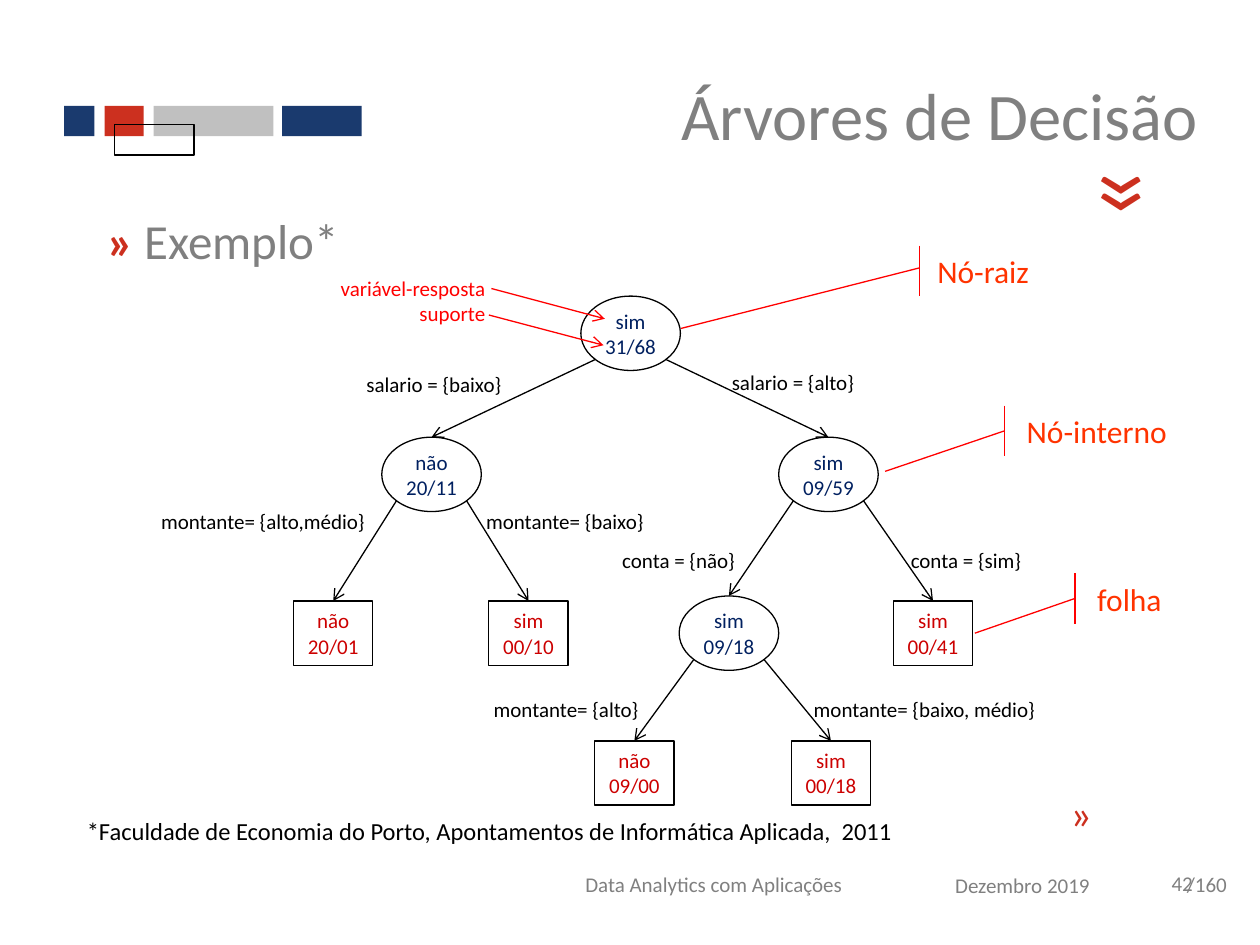
from pptx import Presentation
from pptx.dml.color import RGBColor
from pptx.enum.shapes import MSO_CONNECTOR, MSO_SHAPE
from pptx.enum.text import MSO_ANCHOR as Anchor, PP_ALIGN as Align
from pptx.oxml.ns import qn
from pptx.util import Inches, Pt
from lxml import etree

THEME = {
    "font": "Calibri",
    "color": {name: RGBColor.from_string(code) for name, code in {
        "navy": "1A3A6E", "brick": "CC301F", "silver": "C0C0C0", "gray": "808080",
        "black": "000000", "white": "FFFFFF", "red": "FF0000", "orange": "FF3300",
        "node": "002060", "leaf": "CC0000"}.items()},
    "size": {"title": Pt(38), "topic": Pt(28), "callout": Pt(18), "source": Pt(14),
             "small": Pt(12), "chevron": Pt(24), "big_chevron": Pt(60)},
    "line": Pt(0.75),
}
COLOR, SIZE = THEME["color"], THEME["size"]


def write(shape, lines, size, color, align=Align.LEFT, **frame_format):
    """Fill a shape with one paragraph per line, all in one style."""
    frame = shape.text_frame
    for name, value in frame_format.items():
        setattr(frame, name, value)
    frame.text = "\n".join(lines)
    for paragraph in frame.paragraphs:
        paragraph.alignment = align
        for run in paragraph.runs:
            for name, value in {"name": THEME["font"], "size": SIZE[size]}.items():
                setattr(run.font, name, value)
            run.font.color.rgb = COLOR[color]


def add_arrow(start, end, color):
    """Draw a line with an open arrowhead at its end."""
    points = [Inches(value) for value in (*start, *end)]
    arrow = slide.shapes.add_connector(MSO_CONNECTOR.STRAIGHT, *points)
    arrow.line.color.rgb = COLOR[color]
    arrow.line.width = THEME["line"]
    etree.SubElement(arrow.line._ln, qn("a:tailEnd"), type="arrow")
    etree.SubElement(arrow._element.spPr, qn("a:effectLst"))
    return arrow


prs = Presentation()
prs.slide_width, prs.slide_height = Inches(10), Inches(7.5)
slide = prs.slides.add_slide(prs.slide_layouts[1])
shapes = slide.shapes
title, topic = shapes.title, slide.placeholders[1]

# Colour bar at the top left, with an outlined box over it
for left, top, width, fill in [
    (0.51, 0.84, 0.24, "navy"), (0.83, 0.84, 0.31, "brick"),
    (1.22, 0.84, 0.95, "silver"), (2.24, 0.84, 0.63, "navy"), (0.91, 0.99, 0.63, None),
]:
    block = shapes.add_shape(MSO_SHAPE.RECTANGLE, Inches(left), Inches(top),
                             Inches(width), Inches(0.24))
    block.shadow.inherit = False
    if fill:
        block.fill.solid()
        block.fill.fore_color.rgb = COLOR[fill]
        block.line.fill.background()
    else:
        block.fill.background()
        block.line.color.rgb = COLOR["black"]
        block.line.width = THEME["line"]

# Title and topic
for placeholder, box in [(title, (3.19, 0.44, 6.42, 0.93)), (topic, (0.75, 1.62, 8.43, 0.57))]:
    for name, value in zip(("left", "top", "width", "height"), box):
        setattr(placeholder, name, Inches(value))
write(title, ["Árvores de Decisão"], "title", "gray", Align.RIGHT,
      vertical_anchor=Anchor.MIDDLE)
write(topic, ["» "], "topic", "brick")
marker_line = topic.text_frame.paragraphs[0]
marker_line.space_before = Pt(0)
topic_format = marker_line._p.get_or_add_pPr()
for name in ("marL", "indent"):
    topic_format.set(name, "0")
etree.SubElement(topic_format, qn("a:buNone"))
marker_line.runs[0].font.bold = True
topic_run = marker_line.add_run()
topic_run.text = "Exemplo*"
for name, value in {"name": THEME["font"], "size": SIZE["topic"], "bold": False}.items():
    setattr(topic_run.font, name, value)
topic_run.font.color.rgb = COLOR["gray"]

# Footer, page number, source note and variable names
middle = {"word_wrap": True, "vertical_anchor": Anchor.MIDDLE}
one_line = {"word_wrap": False}
for box, lines, size, color, align, frame_format in [
    ((9.06, 6.74, 0.94, 0.55), ["/160"], "small", "gray", Align.LEFT,
     {**middle, "margin_left": Inches(0.36)}),
    ((4.13, 6.74, 3.07, 0.55), ["Data Analytics com Aplicações"], "small", "gray",
     Align.CENTER, middle),
    ((7.2, 6.75, 1.83, 0.55), ["Dezembro 2019"], "small", "gray", Align.CENTER, middle),
    ((9.2, 6.86, 0.44, 0.3), ["42"], "small", "gray", Align.LEFT, {"word_wrap": True}),
    ((0.59, 6.43, 7.22, 0.34),
     ["*Faculdade de Economia do Porto, Apontamentos de Informática Aplicada,  2011"],
     "source", "black", Align.LEFT, one_line),
    ((2.47, 2.14, 1.48, 0.5), ["variável-resposta", "suporte"], "small", "red",
     Align.RIGHT, one_line),
]:
    note = shapes.add_textbox(*map(Inches, box))
    write(note, lines, size, color, align, **frame_format)

# Turned chevrons
for box, size, rotation in [((8.5, 1.03, 0.55, 1.1), "big_chevron", 270),
                            ((8.26, 6.3, 0.51, 0.5), "chevron", 180)]:
    chevron = shapes.add_textbox(*map(Inches, box))
    chevron.rotation = rotation
    write(chevron, ["«"], size, "brick", word_wrap=True)

# Callouts naming the kinds of node
for left, top, width, label, pointer in [
    (7.34, 1.95, 1.02, "Nó-raiz", (0.441, -0.042, 1.643, -1.898)),
    (8.05, 3.22, 1.38, "Nó-interno", (0.5, -0.057, 1.304, -0.743)),
    (8.61, 4.55, 0.75, "folha", (0.5, -0.105, 1.189, -1.164)),
]:
    callout = shapes.add_shape(MSO_SHAPE.LINE_CALLOUT_1_ACCENT_BAR, Inches(left),
                               Inches(top), Inches(width), Inches(0.4))
    for index, value in enumerate(pointer):
        callout.adjustments[index] = value
    callout.shadow.inherit = False
    callout.fill.background()
    callout.line.color.rgb = COLOR["red"]
    callout.line.width = THEME["line"]
    write(callout, [label], "callout", "orange", word_wrap=False)

# Tree nodes: ellipses split further, rectangles are leaves
OVAL, LEAF = (0.79, 0.59), (0.63, 0.51)
no_margins = {f"margin_{side}": 0 for side in ("left", "right", "top", "bottom")}
nodes = {}
for key, left, top, answer, support, is_leaf in [
    ("root", 4.61, 2.35, "sim", "31/68", False),
    ("low", 3.03, 3.47, "não", "20/11", False),
    ("high", 6.18, 3.47, "sim", "09/59", False),
    ("no_account", 5.39, 4.73, "sim", "09/18", False),
    ("account", 7.09, 4.77, "sim", "00/41", True),
    ("no_account_rest", 6.28, 5.88, "sim", "00/18", True),
    ("no_account_high", 4.72, 5.88, "não", "09/00", True),
    ("low_rest", 2.33, 4.77, "não", "20/01", True),
    ("low_low", 3.88, 4.77, "sim", "00/10", True),
]:
    width, height = LEAF if is_leaf else OVAL
    node = shapes.add_shape(MSO_SHAPE.RECTANGLE if is_leaf else MSO_SHAPE.OVAL,
                            Inches(left), Inches(top), Inches(width), Inches(height))
    node.shadow.inherit = False
    node.fill.solid()
    node.fill.fore_color.rgb = COLOR["white"]
    node.line.color.rgb = COLOR["black"]
    node.line.width = THEME["line"]
    write(node, [answer, support], "small", "leaf" if is_leaf else "node", Align.CENTER,
          word_wrap=False, vertical_anchor=Anchor.MIDDLE, **no_margins)
    nodes[key] = (node, left, top)

# Branches leave an ellipse at 45 degrees and end on the top of the child
DIAGONAL = 0.35
for parent, child, side, label, label_left, label_top, label_width in [
    ("root", "low", -1, "salario = {baixo}", 2.81, 2.9, 1.4),
    ("root", "high", 1, "salario = {alto}", 5.71, 2.88, 1.27),
    ("low", "low_rest", -1, "montante= {alto,médio}", 1.18, 3.99, 1.93),
    ("low", "low_low", 1, "montante= {baixo}", 3.76, 3.99, 1.56),
    ("high", "no_account", -1, "conta = {não}", 4.84, 4.3, 1.2),
    ("high", "account", 1, "conta = {sim}", 7.13, 4.3, 1.22),
    ("no_account", "no_account_high", -1, "montante= {alto}", 3.82, 5.48, 1.43),
    ("no_account", "no_account_rest", 1, "montante= {baixo, médio}", 6.36, 5.48, 2.11),
]:
    _, left, top = nodes[parent]
    start = (left + OVAL[0] * (0.5 + side * DIAGONAL), top + OVAL[1] * (0.5 + DIAGONAL))
    child_node, child_left, child_top = nodes[child]
    branch = add_arrow(start, (child_left, child_top), "black")
    branch.end_connect(child_node, 0)
    condition = shapes.add_textbox(Inches(label_left), Inches(label_top),
                                   Inches(label_width), Inches(0.3))
    write(condition, [label], "small", "black", word_wrap=False)

# Arrows from the variable names into the root
for start, end in [((3.88, 2.5), (4.79, 2.74)), ((3.9, 2.29), (4.8, 2.53))]:
    add_arrow(start, end, "red")

prs.save("out.pptx")
